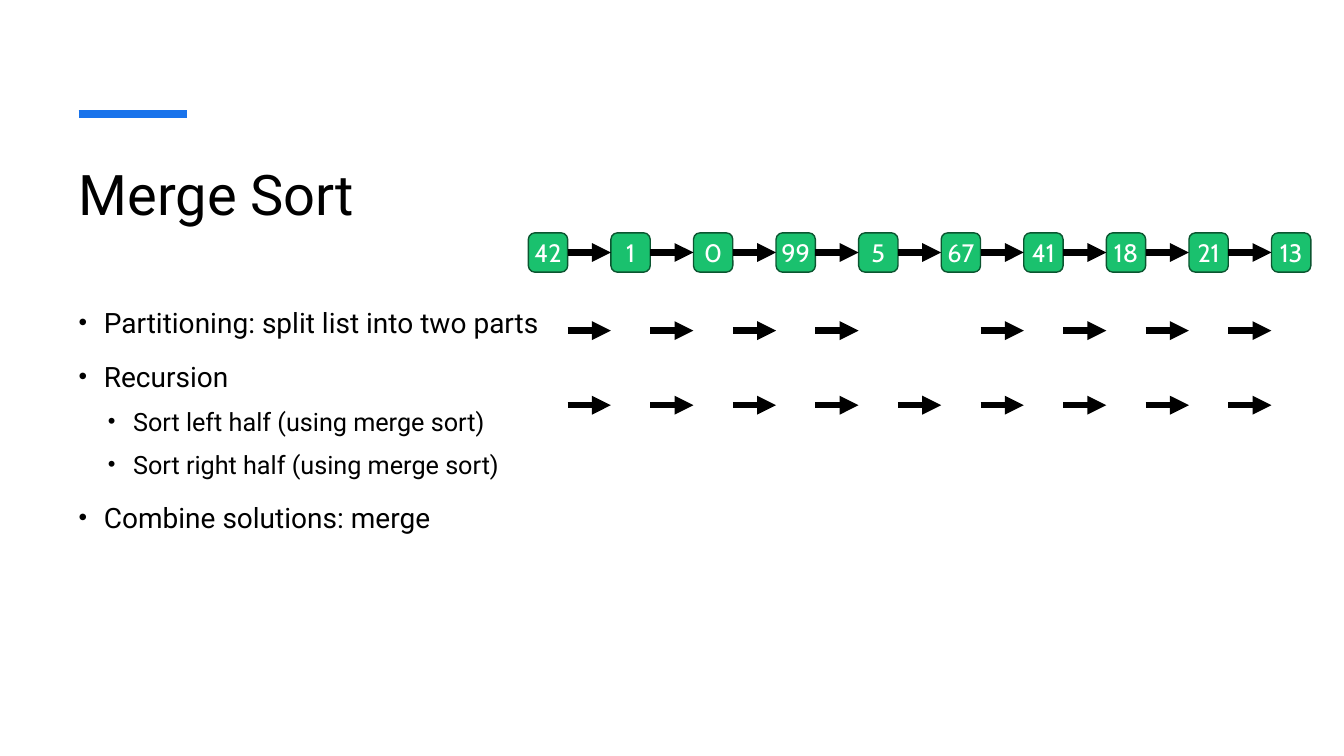
import pptx
import pptx.dml.color
import pptx.enum.shapes
import pptx.enum.text
import pptx.oxml
import pptx.oxml.ns
import pptx.util
from pptx.util import Inches, Pt

TITLE = "Merge Sort"
OUTLINE = [
    (0, "Partitioning: split list into two parts"),
    (0, "Recursion"),
    (1, "Sort left half (using merge sort)"),
    (1, "Sort right half (using merge sort)"),
    (0, "Combine solutions: merge"),
]
LEVELS = [
    {"size": 20, "before": 10, "indent": 0.25},
    {"size": 18, "before": 5, "indent": 0.54},
]
VALUES = [42, 1, 0, 99, 5, 67, 41, 18, 21, 13]
SPLIT = 4  # gap between the left and the right half
ARROW_ROWS = [(3.28, {SPLIT}), (4.02, set())]  # height, gaps left open

NODE_LEFT, NODE_TOP, NODE_SIZE, NODE_PITCH = 5.24, 2.31, 0.39, 0.819
BLACK, WHITE, BLUE = "000000", "FFFFFF", "1973EB"
GREEN, DARK_GREEN = "1AC16E", "0B5530"


def color(hex_text):
    return pptx.dml.color.RGBColor.from_string(hex_text)


def assign(target, **values):
    for name, value in values.items():
        setattr(target, name, value)


def write(paragraph, text, size, font, hex_text):
    run = paragraph.add_run()
    run.text = text
    assign(run.font, size=Pt(size), name=font)
    run.font.color.rgb = color(hex_text)


def add_element(parent, tag, **attributes):
    element = pptx.oxml.ns.qn(tag)
    child = parent.makeelement(element, attributes)
    parent.append(child)


def add_line(slide, start, end, y, hex_text, width, arrow=False):
    line = slide.shapes.add_connector(
        pptx.enum.shapes.MSO_CONNECTOR.STRAIGHT,
        Inches(start), Inches(y), Inches(end), Inches(y))
    line.line.color.rgb = color(hex_text)
    line.line.width = Pt(width)
    if arrow:
        add_element(line.line._get_or_add_ln(), "a:tailEnd", type="triangle")
    add_element(line._element.spPr, "a:effectLst")
    return line


def add_text_frame(slide, left, top, width, height):
    box = slide.shapes.add_textbox(
        Inches(left), Inches(top), Inches(width), Inches(height))
    assign(box.text_frame, word_wrap=True, margin_left=Inches(0.08),
           margin_right=Inches(0.08), margin_top=Inches(0.08))
    return box.text_frame


def add_outline(slide):
    frame = add_text_frame(slide, 0.7, 2.88, 4.78, 3.9)
    for index, (level, text) in enumerate(OUTLINE):
        style = LEVELS[level]
        paragraph = frame.paragraphs[0] if index == 0 else frame.add_paragraph()
        assign(paragraph, level=level, line_spacing=1.2,
               space_before=Pt(style["before"]))
        properties = paragraph._p.get_or_add_pPr()
        properties.set("marL", str(Inches(style["indent"])))
        properties.set("indent", str(-Inches(0.25)))
        add_element(properties, "a:buSzPct", val="87000")
        add_element(properties, "a:buFont", typeface="Arial")
        add_element(properties, "a:buChar", char="•")
        write(paragraph, text, style["size"], "Roboto", BLACK)


def add_node(slide, index, value):
    node = slide.shapes.add_shape(
        pptx.enum.shapes.MSO_SHAPE.ROUNDED_RECTANGLE,
        Inches(NODE_LEFT + index * NODE_PITCH), Inches(NODE_TOP),
        Inches(NODE_SIZE), Inches(NODE_SIZE))
    node.shadow.inherit = False
    node.fill.solid()
    node.fill.fore_color.rgb = color(GREEN)
    node.line.color.rgb = color(DARK_GREEN)
    node.line.width = Pt(1)
    assign(node.text_frame, margin_left=0, margin_right=0, margin_top=0,
           margin_bottom=0, word_wrap=False,
           vertical_anchor=pptx.enum.text.MSO_ANCHOR.MIDDLE)
    paragraph = node.text_frame.paragraphs[0]
    paragraph.alignment = pptx.enum.text.PP_ALIGN.CENTER
    write(paragraph, str(value), 18, "Cabin", WHITE)
    return node


def add_arrow(slide, gap, y):
    """Draw the arrow that crosses the gap after node number gap."""
    start = NODE_LEFT + gap * NODE_PITCH + NODE_SIZE
    end = NODE_LEFT + (gap + 1) * NODE_PITCH
    return add_line(slide, start, end, y, BLACK, 4.5, arrow=True)


def main():
    presentation = pptx.Presentation()
    assign(presentation, slide_width=Inches(13.33), slide_height=Inches(7.5))
    slide = presentation.slides.add_slide(presentation.slide_layouts[6])

    add_line(slide, 0.78, 1.85, 1.13, BLUE, 6)
    title = add_text_frame(slide, 0.7, 1.5, 11.91, 1.2)
    write(title.paragraphs[0], TITLE, 40, "Roboto", BLACK)
    add_outline(slide)

    nodes = [add_node(slide, index, value) for index, value in enumerate(VALUES)]
    for gap, (left_node, right_node) in enumerate(zip(nodes, nodes[1:])):
        arrow = add_arrow(slide, gap, NODE_TOP + NODE_SIZE / 2)
        arrow.begin_connect(left_node, 3)
        arrow.end_connect(right_node, 1)
    for y, open_gaps in ARROW_ROWS:
        for gap in range(len(VALUES) - 1):
            if gap not in open_gaps:
                add_arrow(slide, gap, y)

    presentation.save("out.pptx")


if __name__ == "__main__":
    main()
